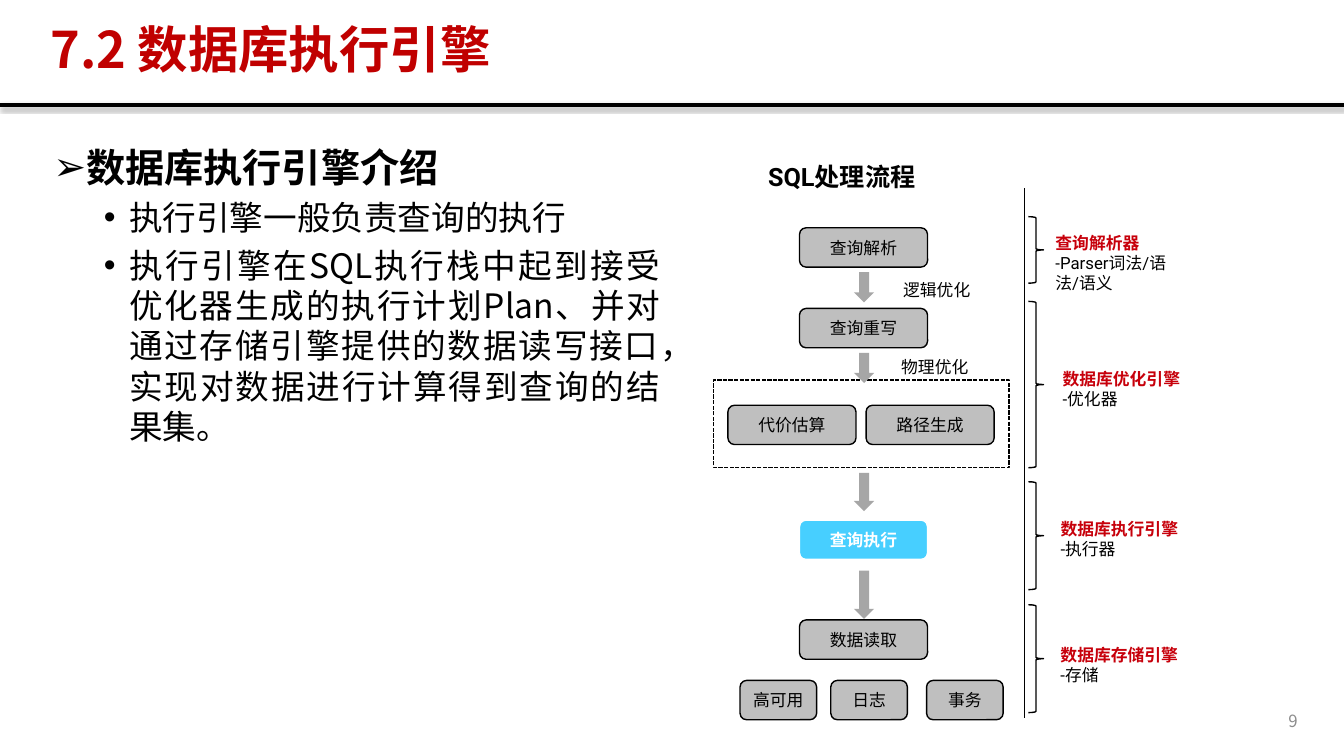
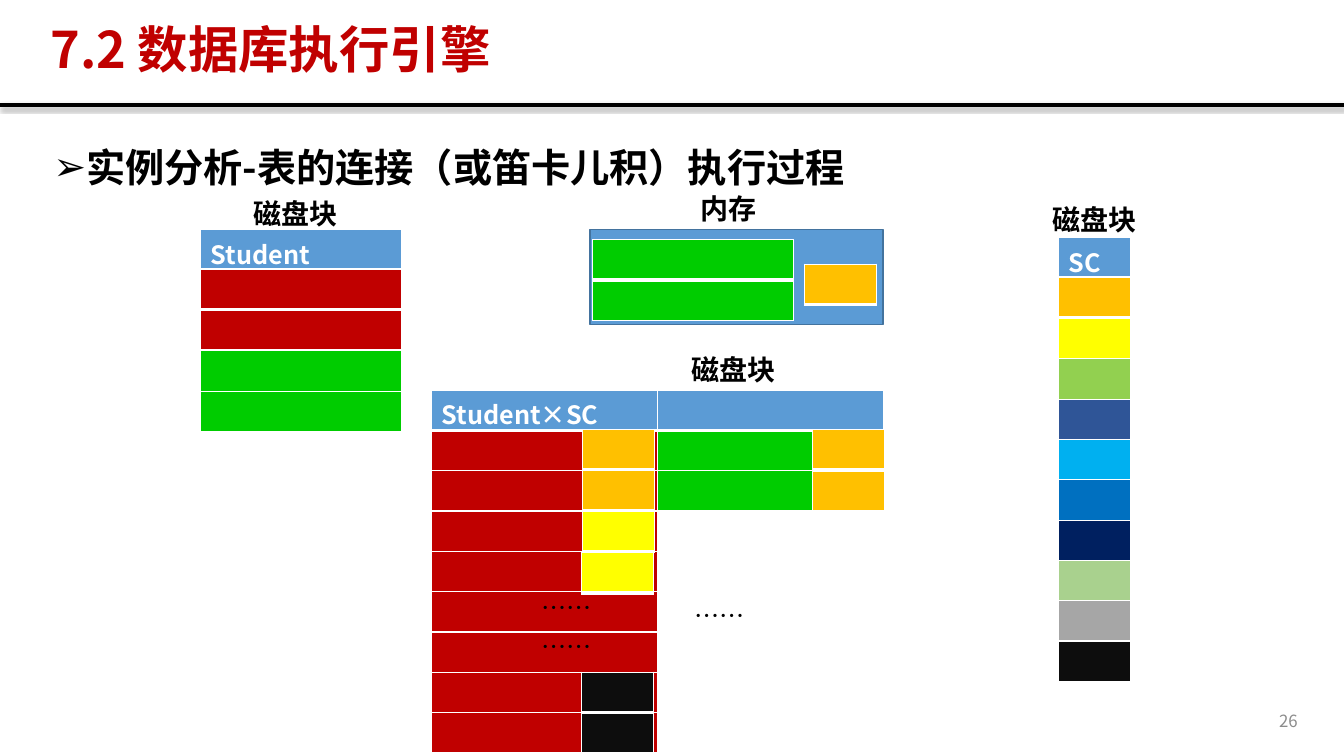
from lxml import etree
from pptx import Presentation
from pptx.dml.color import RGBColor
from pptx.enum import dml, shapes, text
from pptx.oxml.ns import qn
from pptx.util import Inches, Pt

# Shared look
CJK, LATIN = "Noto Sans CJK SC", "Roboto"
BLACK, WHITE, RED, LABEL_RED = "000000", "FFFFFF", "C00000", "C7000B"
GREY, ARROW_GREY, CYAN, PAGE_GREY = "BFBFBF", "A6A6A6", "47CFFF", "8C8C8C"
BLUE, BLUE_EDGE, GREEN, ORANGE, YELLOW = "5B9BD5", "43739E", "00CC00", "FFC000", "FFFF00"
NEAR_BLACK = "0D0D0D"
TITLE = "7.2 数据库执行引擎"
SHAPE, ALIGN, ANCHOR = shapes.MSO_SHAPE, text.PP_ALIGN, text.MSO_ANCHOR
ROW = 0.4


def rgb(value):
    return RGBColor.from_string(value)


def place(shape, left, top, width, height):
    shape.left, shape.top = Inches(left), Inches(top)
    shape.width, shape.height = Inches(width), Inches(height)


def style(paragraph, size, color=BLACK, bold=False, face=CJK, align=None):
    """Format a whole paragraph, East Asian characters included."""
    if align is not None:
        paragraph.alignment = align
    font = paragraph.font
    font.size, font.bold, font.name = Pt(size), bold, face
    font.color.rgb = rgb(color)
    properties = paragraph._p.pPr.find(qn("a:defRPr"))
    etree.SubElement(properties, qn("a:ea"), typeface=face)


def bullet(paragraph, char, left):
    properties = paragraph._p.get_or_add_pPr()
    properties.set("marL", str(Inches(left)))
    properties.set("indent", str(Inches(-0.25)))
    etree.SubElement(properties, qn("a:buFont"), typeface="Arial")
    etree.SubElement(properties, qn("a:buChar"), char=char)


def label(slide, words, left, top, width, height, size, wrap=True, **look):
    frame = slide.shapes.add_textbox(
        Inches(left), Inches(top), Inches(width), Inches(height)).text_frame
    frame.word_wrap = wrap
    frame.text = words
    style(frame.paragraphs[0], size, **look)
    return frame


def block(slide, kind, left, top, width, height, fill=None, edge=None):
    shape = slide.shapes.add_shape(
        kind, Inches(left), Inches(top), Inches(width), Inches(height))
    shape.shadow.inherit = False
    if fill:
        shape.fill.solid()
        shape.fill.fore_color.rgb = rgb(fill)
    else:
        shape.fill.background()
    if edge:
        shape.line.color.rgb = rgb(edge)
        shape.line.width = Pt(1)
    else:
        shape.line.fill.background()
    return shape


def step(slide, words, left, top, width=1.27, active=False):
    fill, ink = (CYAN, WHITE) if active else (GREY, BLACK)
    box = block(slide, SHAPE.ROUNDED_RECTANGLE, left, top, width, 0.39,
                fill, WHITE if active else BLACK)
    frame = box.text_frame
    frame.text = words
    frame.vertical_anchor = ANCHOR.MIDDLE
    style(frame.paragraphs[0], 12, ink, active, LATIN, ALIGN.CENTER)


def rule(slide, x1, y1, x2, y2, width):
    line = slide.shapes.add_connector(
        shapes.MSO_CONNECTOR.STRAIGHT, Inches(x1), Inches(y1), Inches(x2), Inches(y2))
    line.line.color.rgb = rgb(BLACK)
    line.line.width = Pt(width)
    return etree.SubElement(line._element.spPr, qn("a:effectLst"))


def header_rule(slide):
    effects = rule(slide, 0, 1.04, 13.33, 1.04, 3)
    shadow = etree.SubElement(effects, qn("a:outerShdw"), blurRad=str(Pt(3.1)),
                              dist=str(Pt(1.8)), dir="5400000", rotWithShape="0")
    tint = etree.SubElement(shadow, qn("a:srgbClr"), val=BLACK)
    etree.SubElement(tint, qn("a:alpha"), val="35000")


def base_slide(deck, number, heading, points=(), body_width=12.53):
    """Title, rule, outline text and page number."""
    slide = deck.slides.add_slide(deck.slide_layouts[1])
    header_rule(slide)

    title = slide.shapes.title
    place(title, 0.4, 0.19, 11.7, 0.65)
    title.text_frame.text = TITLE
    title.text_frame.vertical_anchor = ANCHOR.MIDDLE
    title.text_frame.paragraphs[0].line_spacing = 0.9
    style(title.text_frame.paragraphs[0], 36, RED, True, align=ALIGN.JUSTIFY)

    body = slide.placeholders[1]
    place(body, 0.43, 1.33, body_width, 5.42)
    frame = body.text_frame
    frame.auto_size = text.MSO_AUTO_SIZE.NONE
    frame.margin_top = Inches(0.09)
    frame.text = "\n".join([heading, *points])
    for index, paragraph in enumerate(frame.paragraphs):
        is_point = index > 0
        paragraph.level = int(is_point)
        paragraph.line_spacing = 1.0
        paragraph.space_before = Pt(5 if is_point else 0)
        bullet(paragraph, *(("•", 0.75) if is_point else ("➢", 0.25)))
        style(paragraph, 24 if is_point else 28, bold=not is_point, align=ALIGN.JUSTIFY)

    page = label(slide, str(number), 9.97, 6.95, 3, 0.4, 12,
                 color=PAGE_GREY, align=ALIGN.RIGHT)
    page.vertical_anchor = ANCHOR.MIDDLE
    return slide


def border(cell, bottom):
    properties = cell._tc.get_or_add_tcPr()
    for index, (side, width) in enumerate(
            (("lnL", 1), ("lnR", 1), ("lnT", 1), ("lnB", bottom))):
        edge = etree.Element(qn(f"a:{side}"), w=str(Pt(width)))
        fill = etree.SubElement(edge, qn("a:solidFill"))
        etree.SubElement(fill, qn("a:srgbClr"), val=WHITE)
        properties.insert(index, edge)


def storage(slide, left, top, width, rows, header=None):
    """Grid of coloured records; the first row has a thick lower edge."""
    columns = len(rows[0])
    grid = slide.shapes.add_table(
        len(rows), columns, Inches(left), Inches(top),
        Inches(width * columns), Inches(ROW * len(rows))).table
    grid.first_row = grid.horz_banding = False
    for r, colors in enumerate(rows):
        for c, color in enumerate(colors):
            cell = grid.cell(r, c)
            cell.margin_bottom = 0
            if color:
                cell.fill.solid()
                cell.fill.fore_color.rgb = rgb(color)
            else:
                cell.fill.background()
            border(cell, 3 if r == 0 else 1)
    if header:
        grid.cell(0, 0).text = header
        style(grid.cell(0, 0).text_frame.paragraphs[0], 18, WHITE, True)
    return grid


def engine_slide(deck):
    slide = base_slide(deck, 9, "数据库执行引擎介绍", (
        "执行引擎一般负责查询的执行",
        "执行引擎在SQL执行栈中起到接受优化器生成的执行计划Plan、并对通过存储引擎"
        "提供的数据读写接口，实现对数据进行计算得到查询的结果集。"), 6.22)

    # Processing flow
    label(slide, "SQL处理流程", 7.52, 1.55, 1.67, 0.41, 18, bold=True, face=LATIN)
    for words, left, top in (("查询解析", 7.93, 2.26), ("查询重写", 7.93, 3.06),
                             ("代价估算", 7.22, 4.02), ("路径生成", 8.59, 4.02),
                             ("查询执行", 7.93, 5.16), ("数据读取", 7.93, 6.15)):
        step(slide, words, left, top, active=words == "查询执行")
    for words, left in (("高可用", 7.34), ("日志", 8.24), ("事务", 9.19)):
        step(slide, words, left, 6.75, 0.76)
    optimizer = block(slide, SHAPE.RECTANGLE, 7.08, 3.77, 2.93, 0.87, edge=BLACK)
    optimizer.line.dash_style = dml.MSO_LINE.SQUARE_DOT
    for top, height in ((2.7, 0.3), (3.5, 0.3), (4.69, 0.38), (5.66, 0.48)):
        block(slide, SHAPE.DOWN_ARROW, 8.47, top, 0.2, height, ARROW_GREY)
    for words, left, top in (("逻辑优化", 8.86, 2.73), ("物理优化", 8.84, 3.49)):
        label(slide, words, left, top, 0.87, 0.31, 12, wrap=False, face=LATIN)

    # Components responsible for each stage
    rule(slide, 10.16, 1.87, 10.16, 7.12, 1)
    for top, height in ((2.15, 0.66), (2.99, 1.65), (4.78, 1.07), (6, 1.07)):
        block(slide, SHAPE.RIGHT_BRACE, 10.2, top, 0.15, height, edge=BLACK)
    for name, part, left, top, width in (
            ("查询解析器", "-Parser词法/语法/语义", 10.37, 2.26, 1.5),
            ("数据库优化引擎", "-优化器", 10.44, 3.61, 1.55),
            ("数据库执行引擎", "-执行器", 10.42, 5.1, 1.71),
            ("数据库存储引擎", "-存储", 10.42, 6.35, 1.57)):
        frame = label(slide, name, left, top, width, 0.51, 12,
                      color=LABEL_RED, bold=True, face=LATIN)
        detail = frame.add_paragraph()
        detail.text = part
        style(detail, 12, face=LATIN)


def join_slide(deck):
    slide = base_slide(deck, 26, "实例分析-表的连接（或笛卡儿积）执行过程")
    for words, left, top in (("内存", 6.28, 1.85), ("磁盘块", 1.99, 1.9),
                             ("磁盘块", 9.91, 1.96), ("磁盘块", 6.33, 3.45)):
        label(slide, words, left, top, 1.89, 0.44, 20, bold=True, align=ALIGN.CENTER)

    # Source tables on disk
    storage(slide, 1.99, 2.28, 1.99,
            [[c] for c in (BLUE, RED, RED, GREEN, GREEN)], "Student")
    storage(slide, 10.5, 2.36, 0.71,
            [[c] for c in (BLUE, ORANGE, YELLOW, "92D050", "2F5597", "00B0F0",
                           "0070C0", "002060", "A9D18E", ARROW_GREY, NEAR_BLACK)], "SC")

    # Blocks loaded into memory
    block(slide, SHAPE.RECTANGLE, 5.85, 2.28, 2.91, 0.94, BLUE, BLUE_EDGE)
    storage(slide, 1.99, 2.67, 1.99, [[RED], [RED]])
    storage(slide, 5.88, 2.38, 1.99, [[GREEN], [GREEN]])

    # Result table
    result = storage(slide, 4.28, 3.87, 2.24,
                     [[BLUE, BLUE]] + [[RED, GREEN]] * 2 + [[RED, None]] * 6,
                     "Student×SC")
    more = result.cell(5, 1)
    more.text = "……"
    more.margin_left = Inches(0.37)
    style(more.text_frame.paragraphs[0], 18)

    # Single SC records: in their block, in memory and in the result
    for left, top, color in (
            (10.5, 2.75, ORANGE), (7.98, 2.62, ORANGE),
            (5.78, 4.26, ORANGE), (5.78, 4.67, ORANGE),
            (5.78, 5.07, YELLOW), (5.77, 5.48, YELLOW),
            (5.77, 6.67, NEAR_BLACK), (5.77, 7.08, NEAR_BLACK),
            (8.06, 4.26, ORANGE), (8.06, 4.68, ORANGE)):
        storage(slide, left, top, 0.71, [[color]])
    for top in (5.83, 6.21):
        label(slide, "……", 5.27, top, 1.65, 0.4, 18)


def main():
    deck = Presentation()
    deck.slide_width, deck.slide_height = Inches(13.33), Inches(7.5)
    engine_slide(deck)
    join_slide(deck)
    deck.save("out.pptx")


if __name__ == "__main__":
    main()
